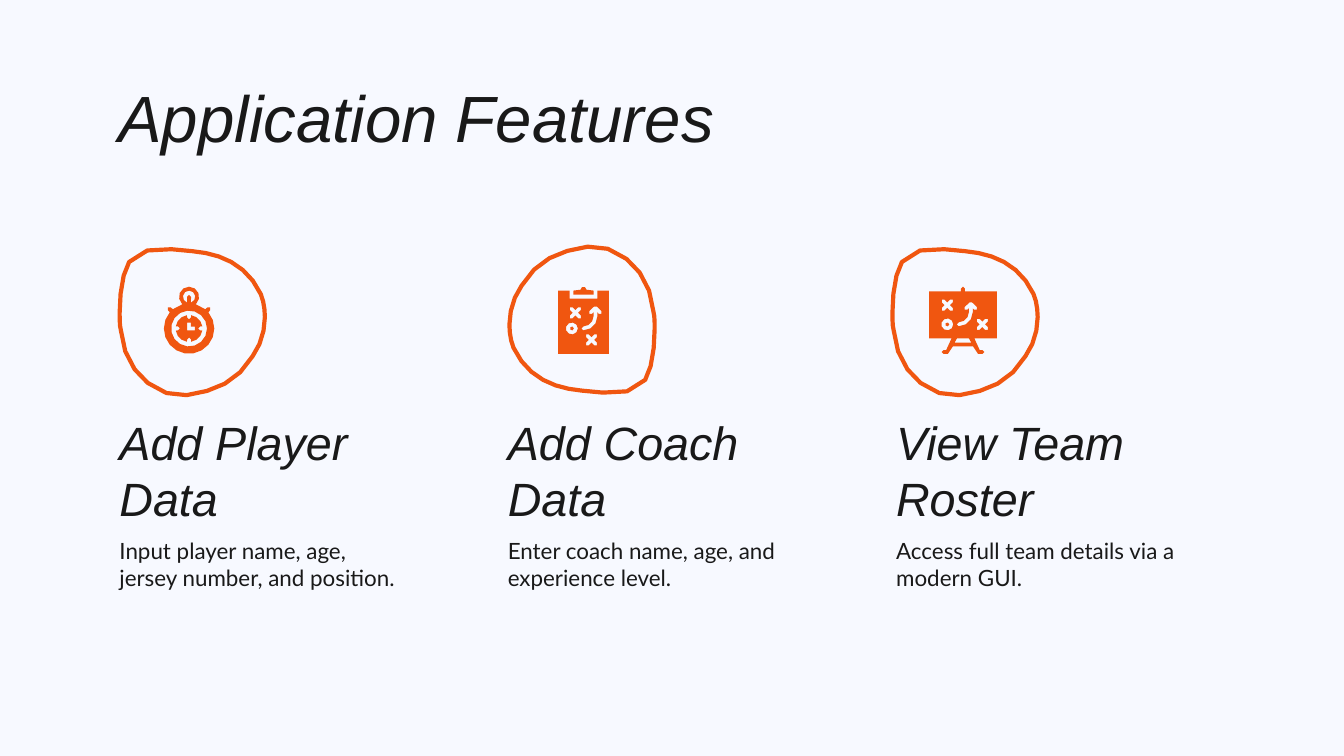
import math
import pptx
import pptx.util
import pptx.dml.color
import pptx.enum.text

Pt = pptx.util.Pt
Rgb = pptx.dml.color.RGBColor.from_string
Anchor = pptx.enum.text.MSO_ANCHOR
hues = {"back": "F7F9FF", "ink": "191919", "accent": "F05610"}


def arc(x, y, r, start, end):
    """Points on an arc, with angles in degrees clockwise from the right."""
    count = max(1, round(abs(end - start) * math.sqrt(r) / 75))
    turns = [math.radians(start + (end - start) * i / count) for i in range(count + 1)]
    return [(x + r * math.cos(t), y + r * math.sin(t)) for t in turns]


def draw(shapes, x, y, loops):
    """One freeform of closed loops, given in points from (x, y)."""
    loops = [[(px * 100, py * 100) for px, py in loop] for loop in loops]
    pen = shapes.build_freeform(*loops[0][0], scale=127)
    pen.add_line_segments(loops[0][1:])
    for loop in loops[1:]:
        pen.move_to(*loop[0])
        pen.add_line_segments(loop[1:])
    shape = pen.convert_to_shape(Pt(x), Pt(y))
    shape.shadow.inherit = False
    shape.fill.solid()
    shape.fill.fore_color.rgb = Rgb(hues["accent"])
    shape.line.fill.background()
    return shape


deck = pptx.Presentation()
deck.slide_width, deck.slide_height = Pt(720), Pt(405)
slide = deck.slides.add_slide(deck.slide_layouts[5])
slide.background.fill.solid()
slide.background.fill.fore_color.rgb = Rgb(hues["back"])

# Title and the text of the three columns
head = {"name": "Arial", "size": Pt(25), "italic": True}
note = {"name": "Lato", "size": Pt(12), "italic": False}
texts = [(slide.shapes.title, "Application Features", (56.2, 42.5, 607.7, 54),
          Anchor.TOP, 0.8, {**head, "size": Pt(35)})]
columns = [
    ("Add Player Data", "Input player name, age, jersey number, and position.", 180.7),
    ("Add Coach Data", "Enter coach name, age, and experience level.", 166.3),
    ("View Team Roster", "Access full team details via a modern GUI.", 166.3),
]
for i, (name, about, wide) in enumerate(columns):
    left = 56.9 + 208.05 * i
    for words, place, hold, font in (
        (about, (left, 280.8, 166.3, 70.6), Anchor.TOP, note),
        (name, (left, 225.4, wide, 63.4), Anchor.BOTTOM, head),
    ):
        box = slide.shapes.add_textbox(0, 0, 0, 0)
        texts.append((box, words, place, hold, 1, font))

for box, words, place, hold, gap, font in texts:
    for key, value in zip(("left", "top", "width", "height"), place):
        setattr(box, key, Pt(value))
    frame = box.text_frame
    form = {"word_wrap": True, "auto_size": pptx.enum.text.MSO_AUTO_SIZE.NONE,
            "vertical_anchor": hold}
    form.update({f"margin_{side}": Pt(7.2) for side in ("left", "top", "right", "bottom")})
    for key, value in form.items():
        setattr(frame, key, value)
    frame.text = words
    line = frame.paragraphs[0]
    line.alignment = pptx.enum.text.PP_ALIGN.LEFT
    line.line_spacing = gap
    run = line.runs[0]
    for key, value in font.items():
        setattr(run.font, key, value)
    run.font.color.rgb = Rgb(hues["ink"])

# Rounded outlines: one curve, half turned in the middle column
bends = [
    (-38.9, -1.1, -38.9, 2.5, -38.2, 4.7),
    (-37.4, 16.2, -31.7, 27, -23.8, 32.8),
    (-14.4, 40.7, -2.9, 40.7, 7.9, 37.1),
    (18, 34.2, 26.6, 28.4, 32.4, 18.4),
    (36.7, 12.6, 38.9, 4.7, 38.9, -2.5),
    (38.9, -6.8, 38.2, -11.2, 36.7, -14.8),
    (33.1, -22.7, 27.4, -28.4, 20.9, -32),
    (14.4, -35.6, 7.2, -37.1, 0, -37.8),
    (-8.6, -38.5, -27.4, -42.1, -33.8, -32),
    (-37.4, -26.3, -38.9, -14.8, -38.9, -4.7),
]
blob = [(-38.9, -4.7)]
for ax, ay, bx, by, cx, cy in bends:
    sx, sy = blob[-1]
    for i in range(1, 4):
        t, u = i / 3, 1 - i / 3
        blob.append((u**3 * sx + 3 * u * u * t * ax + 3 * u * t * t * bx + t**3 * cx,
                     u**3 * sy + 3 * u * u * t * ay + 3 * u * t * t * by + t**3 * cy))
for x, y, turn in ((103, 172.4, 0), (311.8, 171, 180), (517, 172.4, 0)):
    shape = draw(slide.shapes, x, y, [blob])
    shape.rotation = turn
    shape.fill.background()
    shape.line.color.rgb = Rgb(hues["accent"])
    shape.line.width = Pt(2.25)

# Stopwatch: notched dial with hands, and a case with a crown
dial = []
for d in range(0, 360, 90):
    t = math.radians(d)
    dial += arc(5.9 * math.cos(t), 22.4 + 5.9 * math.sin(t), 1.05, d - 90, d - 270)
    dial += arc(0, 22.4, 7.2, d + 9, d + 81)
hands = [(-1, 19.3), (1, 19.3), (1, 21.4), (3.2, 21.4), (3.2, 23.5), (-1, 23.5)]
case = (arc(0, 5.4, 5.4, 134, 406) + arc(0, 22.4, 13.5, -75, -50)
        + arc(10.6, 11.8, 1.05, -135, 45) + arc(0, 22.4, 13.5, -40, 220)
        + arc(-10.6, 11.8, 1.05, 135, 315) + arc(0, 22.4, 13.5, 230, 255))
crown = arc(0, 5.4, 3.3, 108, 432) + arc(0, 5.4, 1.05, 0, -180)
watch = [[dial, hands], [case, crown, arc(0, 22.4, 9.6, 0, 360)]]

# Play marks shared by clipboard and easel: ring, arrow and two crosses
plays = []
for x, y, spots in ((-6.2, 22.4, ((-4.3, 14), (4.3, 28.5))),
                    (-8.4, 20.2, ((-8.4, 9.9), (10.4, 20.2)))):
    arrow = (arc(12.6, -11, 1.05, -135, -45) + arc(15.1, -8.6, 1.05, -45, 135)
             + [(13.7, -8.6)] + arc(6.1, -6.6, 7.6, 0, 90) + arc(6.1, 0, 1.05, 90, 270)
             + arc(6.1, -6.6, 5.5, 90, 0) + [(11.6, -8.6)] + arc(10.1, -8.6, 1.05, 45, 225))
    marks = [[(x + px, y + py) for px, py in arrow], arc(x, y, 3.2, 0, 360)]
    for cx, cy in spots:
        cross = []
        for d in range(45, 405, 90):
            t, u = math.radians(d), math.radians(d + 45)
            cross += arc(cx + 3.1 * math.cos(t), cy + 3.1 * math.sin(t), 1.05, d - 90, d + 90)
            cross.append((cx + 1.5 * math.cos(u), cy + 1.5 * math.sin(u)))
        marks.append(cross)
    plays.append((marks, arc(x, y, 1.05, 0, 360)))
(coach, core), (team, dot) = plays

# Clipboard
clip = [(-5.4, 2.1), *arc(0, 1.6, 1.6, 180, 360), (5.4, 2.1), (5.4, 4.2), (-5.4, 4.2)]
sheet = [(-13.6, 2.1), (-7.4, 2.1), (-7.4, 6.4), (7.4, 6.4), (7.4, 2.1),
         (13.6, 2.1), (13.6, 36), (-13.6, 36)]
board = [[clip], [sheet, *coach, core]]

# Easel: the left half is mirrored
half = [(-1.05, 2.5), (-18.2, 2.5), (-18.2, 27.7), (-6.1, 27.7), (-9, 34),
        *arc(-10.4, 35, 1.05, 270, 90), (-8.1, 36), (-5.4, 32)]
stand = half + [(-x, y) for x, y in reversed(half)] + arc(0, 1.05, 1.05, 0, -180)
brace = [(-3.2, 27.7), (3.2, 27.7), (4.5, 30), (-4.5, 30)]
easel = [[stand, brace, *team], [dot]]

for x, icon in ((101.3, watch), (312.6, board), (515.9, easel)):
    group = slide.shapes.add_group_shape()
    for loops in icon:
        draw(group.shapes, x, 153.6, loops)

deck.save("out.pptx")
